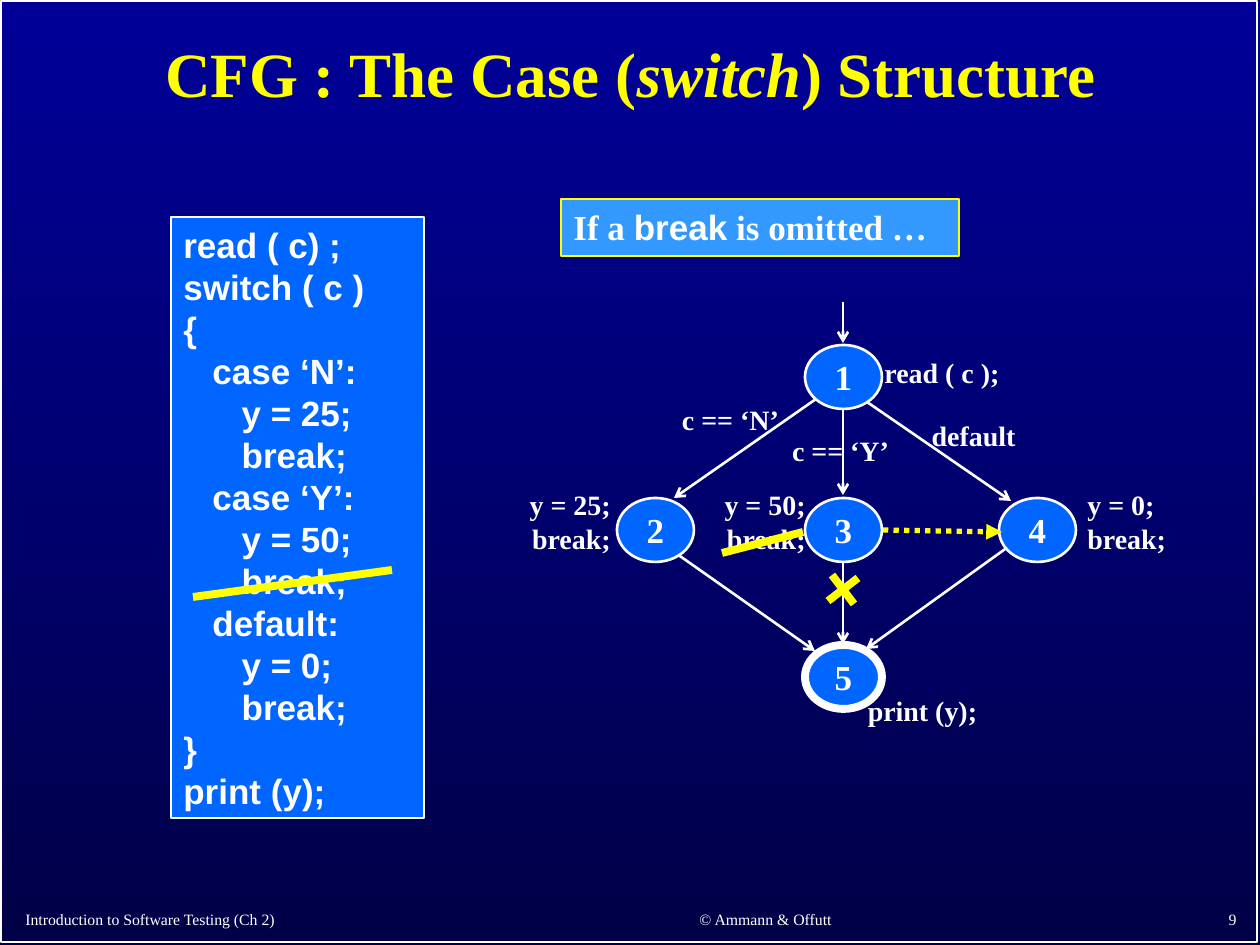
from lxml.etree import SubElement
from pptx import Presentation
from pptx.dml.color import RGBColor
from pptx.enum.dml import MSO_LINE
from pptx.enum.shapes import MSO_CONNECTOR, MSO_SHAPE
from pptx.enum.text import MSO_ANCHOR as ANCHOR, PP_ALIGN as ALIGN
from pptx.oxml.ns import qn
from pptx.util import Pt

PX = 914400 / 126
COLORS = {
    "top": "000099", "bottom": "000047", "white": "FFFFFF",
    "yellow": "FFFF00", "blue": "0066FF", "sky": "3399FF",
}
SERIF, SANS = "Times New Roman", "Arial"
TITLE = {"name": SERIF, "size": Pt(36), "bold": True}
CODE = {"name": SANS, "size": Pt(20), "bold": True}
STRONG = {"name": SERIF, "size": Pt(20), "bold": True}
LABEL = {"name": SERIF, "size": Pt(16), "bold": True}
FOOTER = {"name": SERIF, "size": Pt(9), "bold": False}

CODE_LINES = [
    "read ( c) ;", "switch ( c )", "{",
    "   case ‘N’:", "      y = 25;", "      break;",
    "   case ‘Y’:", "      y = 50;", "      break;",
    "   default:", "      y = 0;", "      break;",
    "}", "print (y);",
]
NODE_W, NODE_H = 77, 64
NODES = [
    ("1", 805, 345, 1.5), ("2", 617, 498, 1.5), ("3", 805, 498, 1.5),
    ("4", 999, 498, 1.5), ("5", 805, 645, 4.5),
]
EDGES = [
    (843, 302, 843, 343), (816, 399, 674, 498), (843, 410, 843, 495),
    (867, 402, 1011, 501), (677, 554, 815, 651), (843, 561, 843, 644),
    (1008, 547, 866, 649),
]
STRIKES = [
    (193, 597, 392, 570), (722, 553, 803, 532),
    (828, 601, 858, 578), (832, 575, 854, 604),
]
LABELS = [
    ("read ( c );", 867, 349, 150), ("c == ‘N’", 669, 396, 123),
    ("c == ‘Y’", 779, 427, 123), ("default", 912, 412, 123),
    ("print (y);", 850, 687, 145),
]
ACTIONS = [
    ("y = 25;", 515, 108, ALIGN.RIGHT), ("y = 50;", 707, 111, ALIGN.RIGHT),
    ("y = 0;", 1075, 117, ALIGN.LEFT),
]
FOOTERS = [
    ("Introduction to Software Testing (Ch 2)", 13, 897, 518, 38, ALIGN.LEFT),
    ("© Ammann & Offutt", 566, 896, 399, 39, ALIGN.CENTER),
    ("9", 987, 895, 262, 40, ALIGN.RIGHT),
]


def px(*values):
    return [round(v * PX) for v in values]


def rgb(name):
    return RGBColor.from_string(COLORS[name])


def apply(target, values):
    for key, value in values.items():
        setattr(target, key, value)


def write(tf, lines, font, color="white", anchor=ANCHOR.TOP, **para):
    apply(tf, {"word_wrap": True, "vertical_anchor": anchor})
    inset_x, inset_y = px(12.6, 6.3)
    apply(tf, {"margin_left": inset_x, "margin_right": inset_x,
               "margin_top": inset_y, "margin_bottom": inset_y})
    for i, line in enumerate(lines):
        p = tf.paragraphs[0] if i == 0 else tf.add_paragraph()
        apply(p, {"alignment": ALIGN.LEFT} | para)
        if i == 0:
            p.space_before = Pt(0)
        for text, changes in [(line, {})] if isinstance(line, str) else line:
            r = p.add_run()
            r.text = text
            apply(r.font, font | changes)
            r.font.color.rgb = rgb(color)


def add_text(s, box, lines, font, **options):
    sp = s.shapes.add_textbox(*px(*box))
    write(sp.text_frame, lines, font, **options)


def add_box(s, kind, box, fill=None, line="white", width=1):
    sp = s.shapes.add_shape(kind, *px(*box))
    sp.shadow.inherit = False
    if fill:
        sp.fill.solid()
        sp.fill.fore_color.rgb = rgb(fill)
    else:
        sp.fill.background()
    sp.line.color.rgb = rgb(line)
    sp.line.width = Pt(width)
    return sp


def add_line(s, ends, color="white", width=1.5, arrow=None, dash=None):
    c = s.shapes.add_connector(MSO_CONNECTOR.STRAIGHT, *px(*ends))
    c.line.color.rgb = rgb(color)
    c.line.width = Pt(width)
    if dash:
        c.line.dash_style = dash
    spPr = c.element.spPr
    if arrow:
        SubElement(spPr.find(qn("a:ln")), qn("a:tailEnd"), type=arrow)
    SubElement(spPr, qn("a:effectLst"))


def add_background(s):
    fill = s.background.fill
    fill.gradient()
    fill.gradient_angle = 270
    for stop, name in zip(fill.gradient_stops, ("top", "bottom")):
        stop.color.rgb = rgb(name)
    add_box(s, MSO_SHAPE.RECTANGLE, (1, 1, 1256, 941))


def add_title(s):
    title = s.shapes.title
    apply(title, dict(zip(("left", "top", "width", "height"), px(10, 14, 1241, 126))))
    runs = [("CFG : The Case (", {}), ("switch", {"italic": True}), (") Structure", {})]
    write(title.text_frame, [runs], TITLE, color="yellow", anchor=ANCHOR.MIDDLE,
          alignment=ALIGN.CENTER, line_spacing=0.9)


def add_node(s, number, x, y, width):
    sp = add_box(s, MSO_SHAPE.OVAL, (x, y, NODE_W, NODE_H), "blue", width=width)
    write(sp.text_frame, [number], STRONG, anchor=ANCHOR.MIDDLE, alignment=ALIGN.CENTER)
    apply(sp.text_frame, {"margin_left": 0, "margin_right": 0,
                          "margin_top": 0, "margin_bottom": 0})


def add_graph(s):
    for edge in EDGES:
        add_line(s, edge, arrow="arrow")
    for node in NODES:
        add_node(s, *node)
    for text, x, y, w in LABELS:
        add_text(s, (x, y, w, 47), [text], LABEL, alignment=ALIGN.CENTER)
    for text, x, w, align in ACTIONS:
        add_text(s, (x, 496, w, 64), [text, "break;"], LABEL, alignment=align,
                 line_spacing=0.5, space_before=Pt(10))


def main():
    prs = Presentation()
    prs.slide_width, prs.slide_height = px(1260, 945)
    s = prs.slides.add_slide(prs.slide_layouts[5])
    add_background(s)
    add_title(s)
    for text, x, y, w, h, align in FOOTERS:
        add_text(s, (x, y, w, h), [text], FOOTER, anchor=ANCHOR.BOTTOM, alignment=align)
    code = add_box(s, MSO_SHAPE.RECTANGLE, (171, 217, 253, 601), "blue")
    write(code.text_frame, CODE_LINES, CODE)
    add_graph(s)
    callout = add_box(s, MSO_SHAPE.RECTANGLE, (561, 199, 398, 57), "sky", "yellow")
    runs = [("If a ", {}), ("break", {"name": SANS}), (" is omitted …", {})]
    write(callout.text_frame, [runs], STRONG)
    for strike in STRIKES:
        add_line(s, strike, "yellow", 4.5)
    add_line(s, (883, 530, 1002, 532), "yellow", 3, "triangle", MSO_LINE.ROUND_DOT)
    prs.save("out.pptx")


if __name__ == "__main__":
    main()
